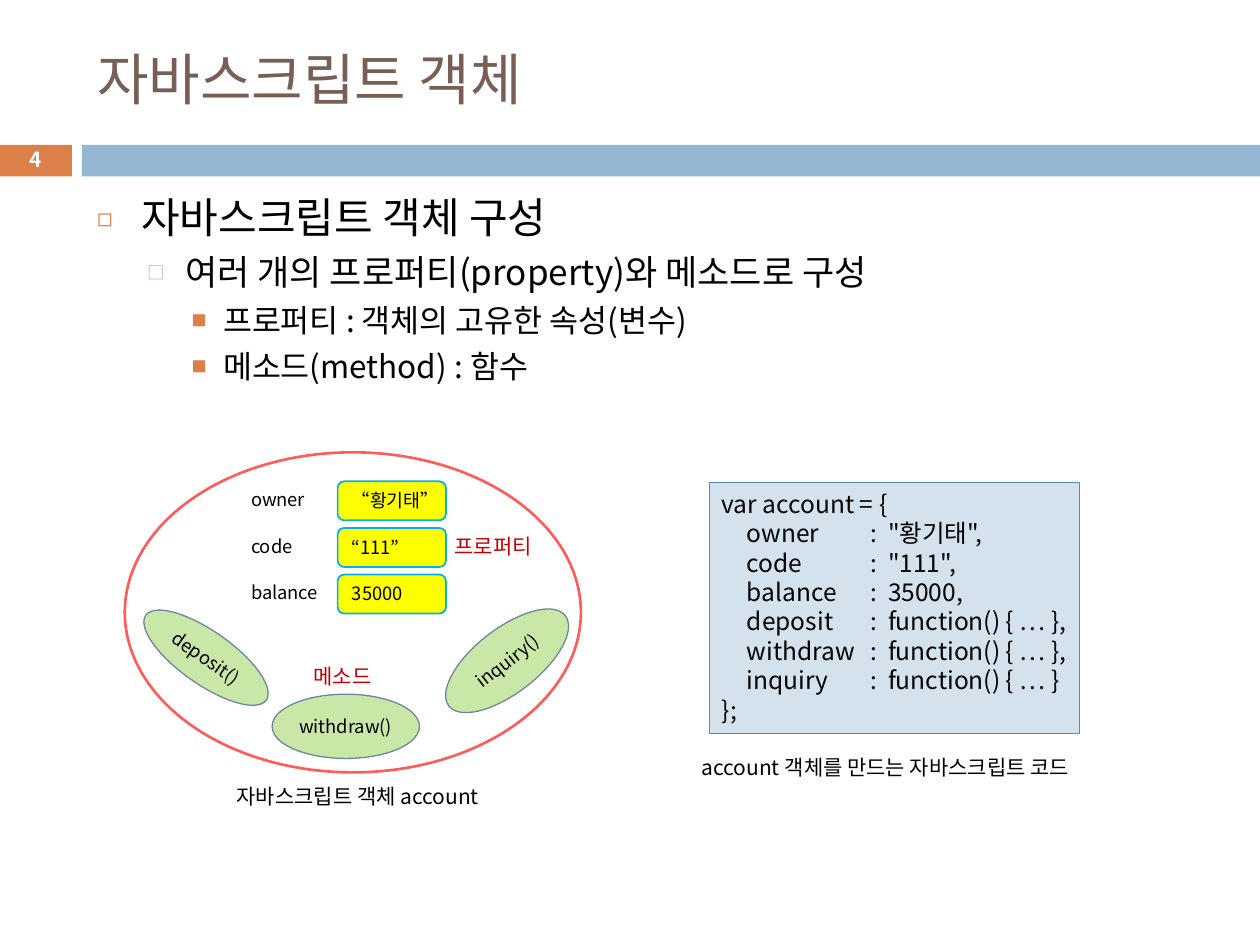
from dataclasses import dataclass

from lxml.etree import SubElement
from pptx import Presentation
from pptx.dml.color import RGBColor
from pptx.enum.shapes import MSO_SHAPE as Shape
from pptx.enum.text import MSO_ANCHOR as Anchor, MSO_AUTO_SIZE as AutoSize, PP_ALIGN as Align
from pptx.oxml.ns import qn
from pptx.util import Inches, Pt


@dataclass(frozen=True)
class Theme:
    font: str = "Noto Sans CJK KR"
    leading: float = 1.19
    title: str = "775F55"
    text: str = "000000"
    white: str = "FFFFFF"
    accent: str = "DD8047"
    band: str = "94B6D2"
    code_fill: str = "D4E2ED"
    code_line: str = "558BB8"
    method_fill: str = "C9E7A7"
    method_line: str = "6D879B"
    object_line: str = "FF5B5B"
    value_fill: str = "FFFF00"
    value_line: str = "00B0F0"
    note: str = "C00000"
    title_size: float = 32
    level_sizes: tuple = (24, 20, 18)
    code_size: float = 14
    caption_size: float = 12
    number_size: float = 11.9
    label_size: float = 10.5


THEME = Theme()


@dataclass(frozen=True)
class Box:
    left: float
    top: float
    width: float
    height: float

    def inner(self, left, top, width, height):
        """Box whose place is given relative to this one."""
        return Box(self.left + left, self.top + top, width, height)

    @property
    def lengths(self):
        return [Inches(v) for v in (self.left, self.top, self.width, self.height)]


def color(value):
    return RGBColor.from_string(value)


def write(paragraph, text, size=THEME.caption_size, ink=THEME.text, bold=False,
          align=Align.LEFT, leading=THEME.leading):
    """Put formatted text in a paragraph; leading is a multiple of the size, or None."""
    run = paragraph.add_run()
    run.text = text
    font = run.font
    font.name, font.size, font.bold = THEME.font, Pt(size), bold
    font.color.rgb = color(ink)
    SubElement(font._element, qn("a:ea"), typeface=THEME.font)
    paragraph.alignment = align
    if leading:
        paragraph.line_spacing = Pt(round(size * leading, 1))


def add_figure(slide, kind, box, fill=None, line=None, weight=0.75, rotation=0, anchor=Anchor.TOP):
    shape = slide.shapes.add_shape(kind, *box.lengths)
    shape.shadow.inherit = False
    shape.rotation = rotation
    if fill:
        shape.fill.solid()
        shape.fill.fore_color.rgb = color(fill)
    else:
        shape.fill.background()
    if line:
        shape.line.color.rgb = color(line)
        shape.line.width = Pt(weight)
    else:
        shape.line.fill.background()
    shape.text_frame.word_wrap = True
    shape.text_frame.vertical_anchor = anchor
    return shape


def add_label(slide, box, text, anchor=Anchor.TOP, **text_format):
    frame = slide.shapes.add_textbox(*box.lengths).text_frame
    frame.word_wrap = True
    frame.vertical_anchor = anchor
    write(frame.paragraphs[0], text, **text_format)


def place(placeholder, box, anchor):
    placeholder.left, placeholder.top, placeholder.width, placeholder.height = box.lengths
    frame = placeholder.text_frame
    frame.auto_size = AutoSize.NONE
    frame.vertical_anchor = anchor
    return frame


def add_header(slide, box, title, number):
    frame = place(slide.shapes.title, box.inner(0.67, 0.25, 8.92, 0.74), Anchor.MIDDLE)
    write(frame.paragraphs[0], title, size=THEME.title_size, ink=THEME.title)
    add_figure(slide, Shape.RECTANGLE, box.inner(-0.01, 1.15, 0.58, 0.25), THEME.accent)
    add_figure(slide, Shape.RECTANGLE, box.inner(0.65, 1.15, 9.35, 0.25), THEME.band)
    add_label(slide, box.inner(-0.01, 1.13, 0.58, 0.27), number, anchor=Anchor.MIDDLE,
              size=THEME.number_size, ink=THEME.white, bold=True, align=Align.CENTER)


def set_bullet(paragraph, indent, hang, mark, ink, percent):
    properties = paragraph._p.get_or_add_pPr()
    properties.set("marL", str(Inches(indent)))
    properties.set("indent", str(-Inches(hang)))
    bullet_color = SubElement(properties, qn("a:buClr"))
    SubElement(bullet_color, qn("a:srgbClr"), val=ink)
    SubElement(properties, qn("a:buSzPct"), val=str(percent * 1000))
    SubElement(properties, qn("a:buFont"), typeface=THEME.font)
    SubElement(properties, qn("a:buChar"), char=mark)


def add_outline(slide, box, items):
    bullets = ((0.35, 0.35, "◻", THEME.accent, 60),
               (0.7, 0.3, "□", THEME.band, 50),
               (1, 0.25, "■", THEME.accent, 48))
    space_before = (7, 5.5, 5)
    frame = place(slide.placeholders[1], box, Anchor.TOP)
    for index, (level, text) in enumerate(items):
        paragraph = frame.add_paragraph() if index else frame.paragraphs[0]
        paragraph.level = level
        write(paragraph, text, size=THEME.level_sizes[level])
        paragraph.space_before = Pt(space_before[level])
        set_bullet(paragraph, *bullets[level])


def add_code(slide, box, lines, caption):
    panel = add_figure(slide, Shape.RECTANGLE, box, THEME.code_fill, THEME.code_line)
    frame = panel.text_frame
    frame.margin_right = 0
    for index, line in enumerate(lines):
        paragraph = frame.add_paragraph() if index else frame.paragraphs[0]
        write(paragraph, line, size=THEME.code_size, leading=1.2)
        tabs = SubElement(paragraph._p.get_or_add_pPr(), qn("a:tabLst"))
        for stop in (0.2, 1.18, 1.32):
            SubElement(tabs, qn("a:tab"), pos=str(Inches(stop)), algn="l")
    add_label(slide, box.inner(-0.16, 2.11, 3.46, 0.3), caption)


def add_method(slide, box, name, rotation=0):
    ellipse = add_figure(slide, Shape.OVAL, box, THEME.method_fill, THEME.method_line,
                         rotation=rotation, anchor=Anchor.MIDDLE)
    frame = ellipse.text_frame
    frame.margin_left = frame.margin_right = Inches(0.04)
    write(frame.paragraphs[0], name, size=THEME.label_size, align=Align.CENTER)


def add_property(slide, box, name, value):
    label = add_figure(slide, Shape.ROUNDED_RECTANGLE, box.inner(0, 0, 0.86, 0.31))
    field = add_figure(slide, Shape.ROUNDED_RECTANGLE, box.inner(0.8, 0.01, 0.86, 0.31),
                       THEME.value_fill, THEME.value_line, weight=1)
    for shape, text in ((label, name), (field, value)):
        shape.text_frame.margin_right = 0
        write(shape.text_frame.paragraphs[0], text, size=THEME.label_size, leading=None)


def add_object_diagram(slide, box, properties, caption):
    add_method(slide, box.inner(0.06, 1.42, 1.17, 0.42), "deposit()", rotation=35.1)
    add_method(slide, box.inner(1.17, 1.92, 1.17, 0.51), "withdraw()")
    add_figure(slide, Shape.OVAL, box, line=THEME.object_line, weight=1.5)
    add_method(slide, box.inner(2.45, 1.4, 1.17, 0.51), "inquiry()", rotation=322.2)
    for row, (name, value) in enumerate(properties):
        add_property(slide, box.inner(0.89, 0.22 + 0.37 * row, 1.66, 0.32), name, value)
    add_label(slide, box.inner(2.52, 0.6, 0.88, 0.3), "프로퍼티", ink=THEME.note)
    add_label(slide, box.inner(1.4, 1.63, 0.71, 0.3), "메소드", ink=THEME.note)
    add_label(slide, box.inner(0.79, 2.58, 2.27, 0.3), caption)


def main():
    presentation = Presentation()
    presentation.slide_width, presentation.slide_height = Inches(10), Inches(7.5)
    slide = presentation.slides.add_slide(presentation.slide_layouts[1])
    add_header(slide, Box(0, 0, 10, 1.4), "자바스크립트 객체", "4")
    add_outline(slide, Box(0.67, 1.47, 8.92, 5.51), (
        (0, "자바스크립트 객체 구성"),
        (1, "여러 개의 프로퍼티(property)와 메소드로 구성"),
        (2, "프로퍼티 : 객체의 고유한 속성(변수)"),
        (2, "메소드(method) : 함수")))
    members = (("owner", '"황기태",'), ("code", '"111",'), ("balance", "35000,"),
               ("deposit", "function() { … },"), ("withdraw", "function() { … },"),
               ("inquiry", "function() { … }"))
    code = ["var account = {", *(f"\t{name}\t:\t{value}" for name, value in members), "};"]
    add_code(slide, Box(5.63, 3.83, 2.94, 1.99), code, "account 객체를 만드는 자바스크립트 코드")
    add_object_diagram(slide, Box(0.99, 3.59, 3.62, 2.54),
                       (("owner", "“황기태”"), ("code", "“111”"), ("balance", "35000")),
                       "자바스크립트 객체 account")
    presentation.save("out.pptx")


if __name__ == "__main__":
    main()
